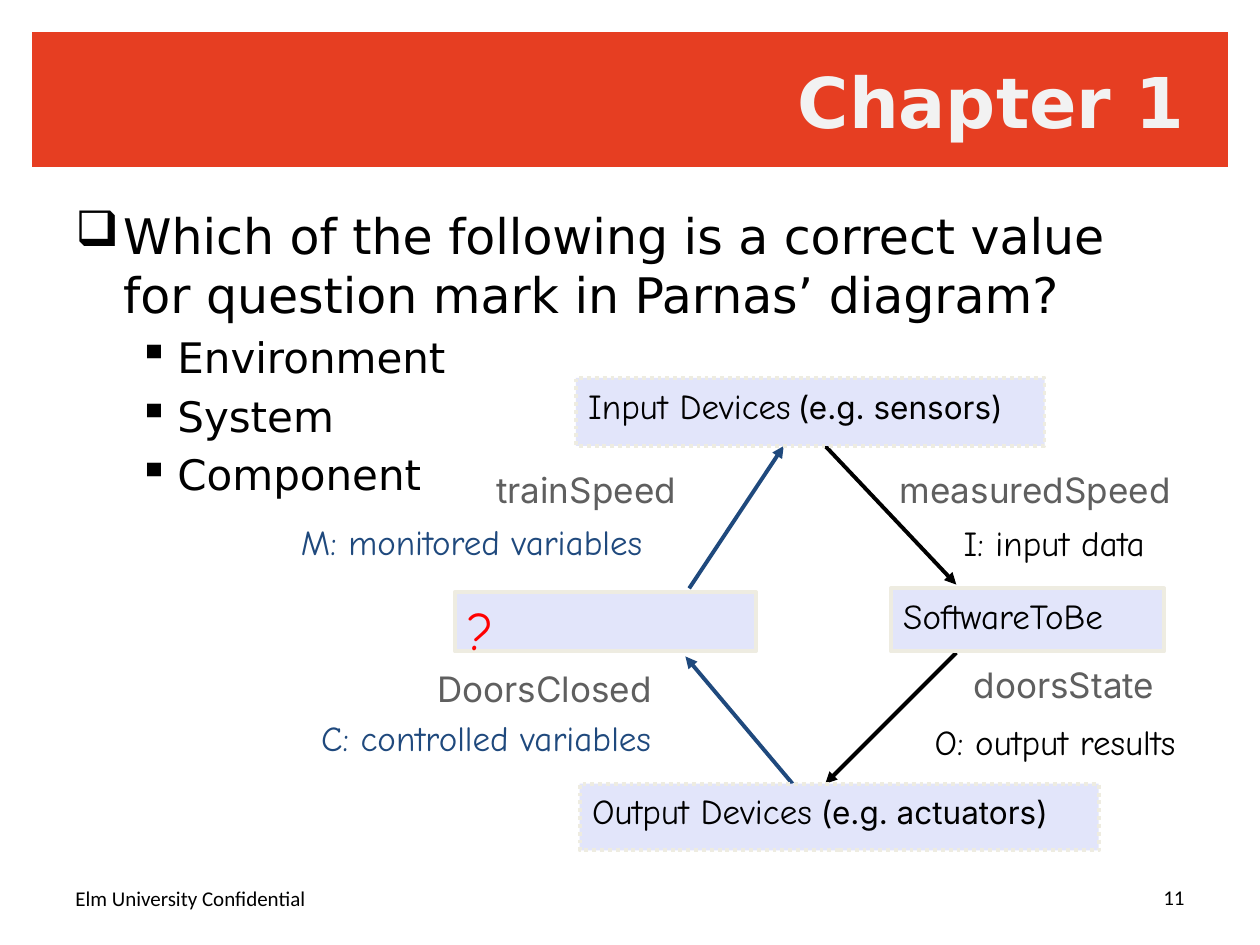
from lxml.etree import SubElement
from pptx import Presentation
from pptx.dml.color import RGBColor
from pptx.enum.dml import MSO_LINE
from pptx.enum.shapes import MSO_CONNECTOR, MSO_SHAPE
from pptx.enum.text import MSO_ANCHOR as Anchor, PP_ALIGN as Align
from pptx.oxml.ns import qn
from pptx.util import Inches, Pt

RED = RGBColor(0xE6, 0x3E, 0x22)
OFF_WHITE = RGBColor(0xF2, 0xF2, 0xF2)
BLACK = RGBColor(0, 0, 0)
GRAY = RGBColor(0x5F, 0x5F, 0x5F)
NAVY = RGBColor(0x1F, 0x49, 0x7D)
LAVENDER = RGBColor(0xE2, 0xE5, 0xFA)
CREAM = RGBColor(0xEE, 0xEC, 0xE1)
BRIGHT_RED = RGBColor(0xFF, 0, 0)

HAND, SANS, HEADING, FOOT = "Comic Neue", "Inter", "DejaVu Sans", "Calibri"
LINE_WIDTH = Pt(2.25)

BANNER = (0.25, 0.25, 9.5, 1.08)
TITLE = ("Chapter 1", (0.5, 0.17, 9, 1.25))
BODY_AREA = (0.5, 1.58, 9, 5.12)
# text, size, bullet, left margin, hanging indent
QUESTION = [
    ("Which of the following is a correct value for question mark in Parnas’ diagram?",
     28, "❑", 0.38, 0.38),
    *[(answer, 24, "▪", 0.81, 0.31) for answer in ("Environment", "System", "Component")],
]
FOOTERS = [
    ("Elm University Confidential", (0.5, 6.93, 6.67, 0.4), Align.LEFT),
    ("11", (7.17, 6.92, 2.33, 0.4), Align.RIGHT),
]
# text, area, font, colour
LABELS = [
    ("trainSpeed", (3.84, 3.67, 1.73, 0.31), SANS, GRAY),
    ("measuredSpeed", (7.04, 3.67, 2.67, 0.33), SANS, GRAY),
    ("DoorsClosed", (3.37, 5.25, 2.02, 0.42), SANS, GRAY),
    ("doorsState", (7.63, 5.22, 1.72, 0.36), SANS, GRAY),
    ("M: monitored variables", (2.29, 4.08, 3.5, 0.4), HAND, NAVY),
    ("C: controlled variables", (2.45, 5.64, 3.37, 0.52), HAND, NAVY),
    ("I: input data", (7.55, 4.09, 2.45, 0.33), HAND, BLACK),
    ("O: output results", (7.32, 5.67, 2.56, 0.4), HAND, BLACK),
]
# start, end, colour
ARROWS = [
    ((5.47, 4.67), (6.22, 3.54), NAVY),
    ((6.55, 3.54), (7.59, 4.64), BLACK),
    ((6.29, 6.22), (5.44, 5.21), NAVY),
    ((7.59, 5.18), (6.55, 6.22), BLACK),
]
# area, dotted outline, runs of (text, size, font, colour)
BOXES = [
    ((3.61, 4.7, 2.39, 0.47), False, [("?", 30, HAND, BRIGHT_RED)]),
    ((7.07, 4.67, 2.17, 0.5), False, [("SoftwareToBe", 20, HAND, BLACK)]),
    ((4.6, 6.22, 4.12, 0.53), True,
     [("Output Devices", 20, HAND, BLACK), (" (e.g. actuators)", 18, SANS, BLACK)]),
    ((4.57, 3, 3.72, 0.54), True,
     [("Input Devices", 20, HAND, BLACK), (" ", 14, SANS, BLACK),
      ("(e.g. sensors)", 18, SANS, BLACK)]),
]


def inches(values):
    """Convert a sequence of numbers to lengths."""
    return [Inches(value) for value in values]


def write(paragraph, text, size=20, font=HAND, color=BLACK, bold=False, align=Align.LEFT):
    """Add a formatted run to a paragraph."""
    paragraph.alignment = align
    run = paragraph.add_run()
    run.text = text
    run.font.size, run.font.name, run.font.bold = Pt(size), font, bold
    run.font.color.rgb = color


def add_text_area(area, anchor=Anchor.TOP):
    """Add a wrapping text box and return its text frame."""
    frame = slide.shapes.add_textbox(*inches(area)).text_frame
    frame.word_wrap, frame.vertical_anchor = True, anchor
    return frame


def set_bullet(paragraph, bullet, margin, hanging):
    """Give a paragraph a bullet and a hanging indent."""
    properties = paragraph._p.get_or_add_pPr()
    properties.set("marL", str(Inches(margin)))
    properties.set("indent", str(-Inches(hanging)))
    SubElement(properties, qn("a:buChar"), char=bullet)


def add_banner():
    """Draw the coloured band behind the title."""
    table = slide.shapes.add_table(1, 1, *inches(BANNER)).table
    table.first_row = table.horz_banding = False
    fill = table.cell(0, 0).fill
    fill.solid()
    fill.fore_color.rgb = RED


def add_title():
    """Place the title in front of the banner."""
    text, area = TITLE
    title = slide.shapes.title
    title.left, title.top, title.width, title.height = inches(area)
    title.text_frame.vertical_anchor = Anchor.MIDDLE
    write(title.text_frame.paragraphs[0], text, size=40, font=HEADING,
          color=OFF_WHITE, bold=True, align=Align.RIGHT)
    slide.shapes._spTree.append(title._element)


def add_question():
    """Write the question and its answers."""
    frame = add_text_area(BODY_AREA)
    for index, (text, size, bullet, margin, hanging) in enumerate(QUESTION):
        paragraph = frame.add_paragraph() if index else frame.paragraphs[0]
        paragraph.space_before = Pt(size * 0.2)
        set_bullet(paragraph, bullet, margin, hanging)
        write(paragraph, text, size=size, font=HEADING)


def add_arrow(start, end, color):
    """Draw a straight arrow."""
    arrow = slide.shapes.add_connector(MSO_CONNECTOR.STRAIGHT, *inches(start + end))
    arrow.line.color.rgb, arrow.line.width = color, LINE_WIDTH
    SubElement(arrow.line._get_or_add_ln(), qn("a:tailEnd"), type="triangle")
    SubElement(arrow._element.spPr, qn("a:effectLst"))


def add_box(area, dotted, runs):
    """Draw a diagram node with its text."""
    box = slide.shapes.add_shape(MSO_SHAPE.RECTANGLE, *inches(area))
    box.shadow.inherit = False
    box.fill.solid()
    box.fill.fore_color.rgb = LAVENDER
    box.line.color.rgb, box.line.width = CREAM, LINE_WIDTH
    if dotted:
        box.line.dash_style = MSO_LINE.ROUND_DOT
    box.text_frame.vertical_anchor = Anchor.TOP
    for text, size, font, color in runs:
        write(box.text_frame.paragraphs[0], text, size=size, font=font, color=color)


prs = Presentation()
prs.slide_width, prs.slide_height = Inches(10), Inches(7.5)
slide = prs.slides.add_slide(prs.slide_layouts[5])

add_banner()
add_title()
add_question()
for text, area, align in FOOTERS:
    write(add_text_area(area, Anchor.MIDDLE).paragraphs[0], text, size=12, font=FOOT, align=align)
for text, area, font, color in LABELS:
    write(add_text_area(area).paragraphs[0], text, font=font, color=color)
for arrow in ARROWS:
    add_arrow(*arrow)
for box in BOXES:
    add_box(*box)

prs.save("out.pptx")
